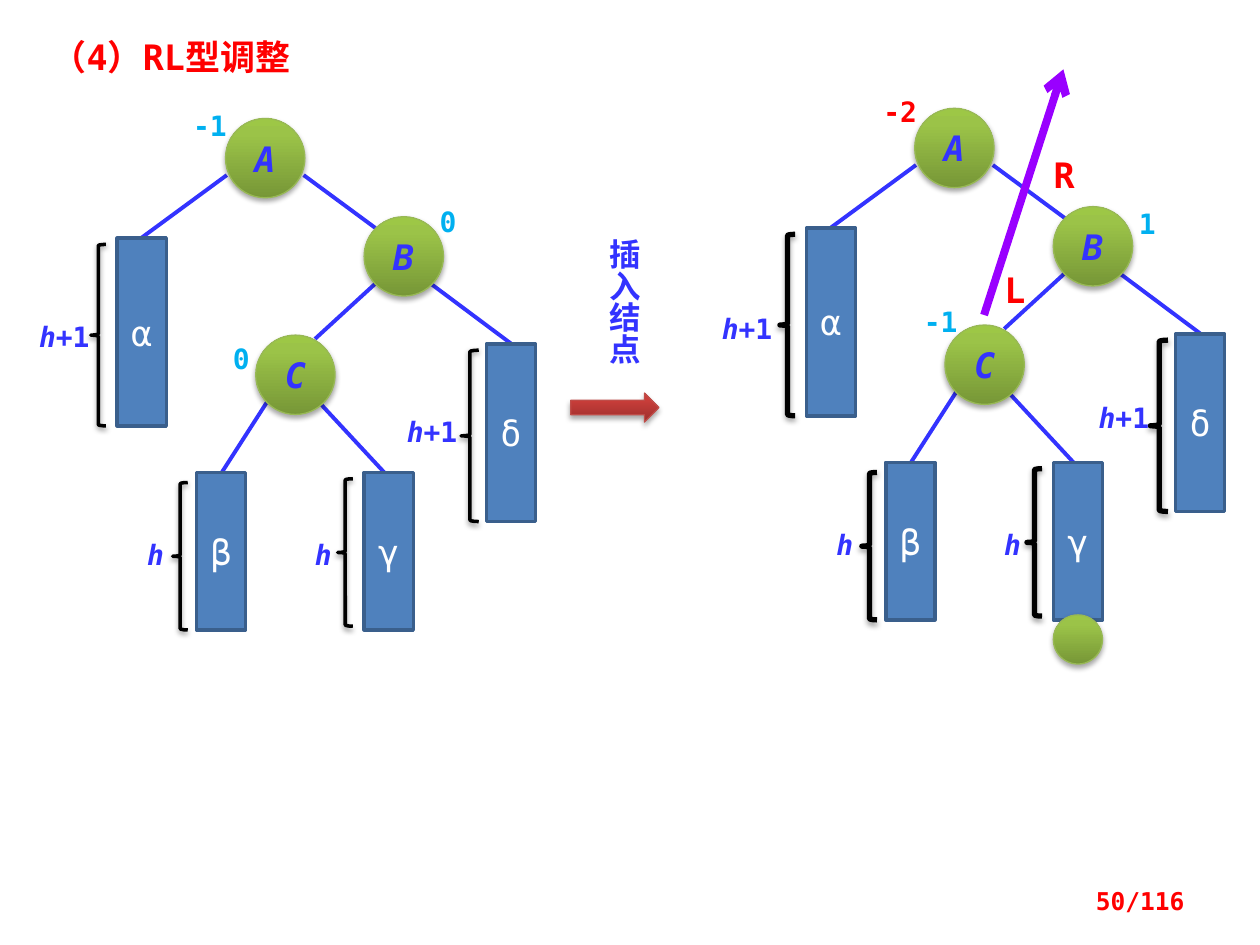
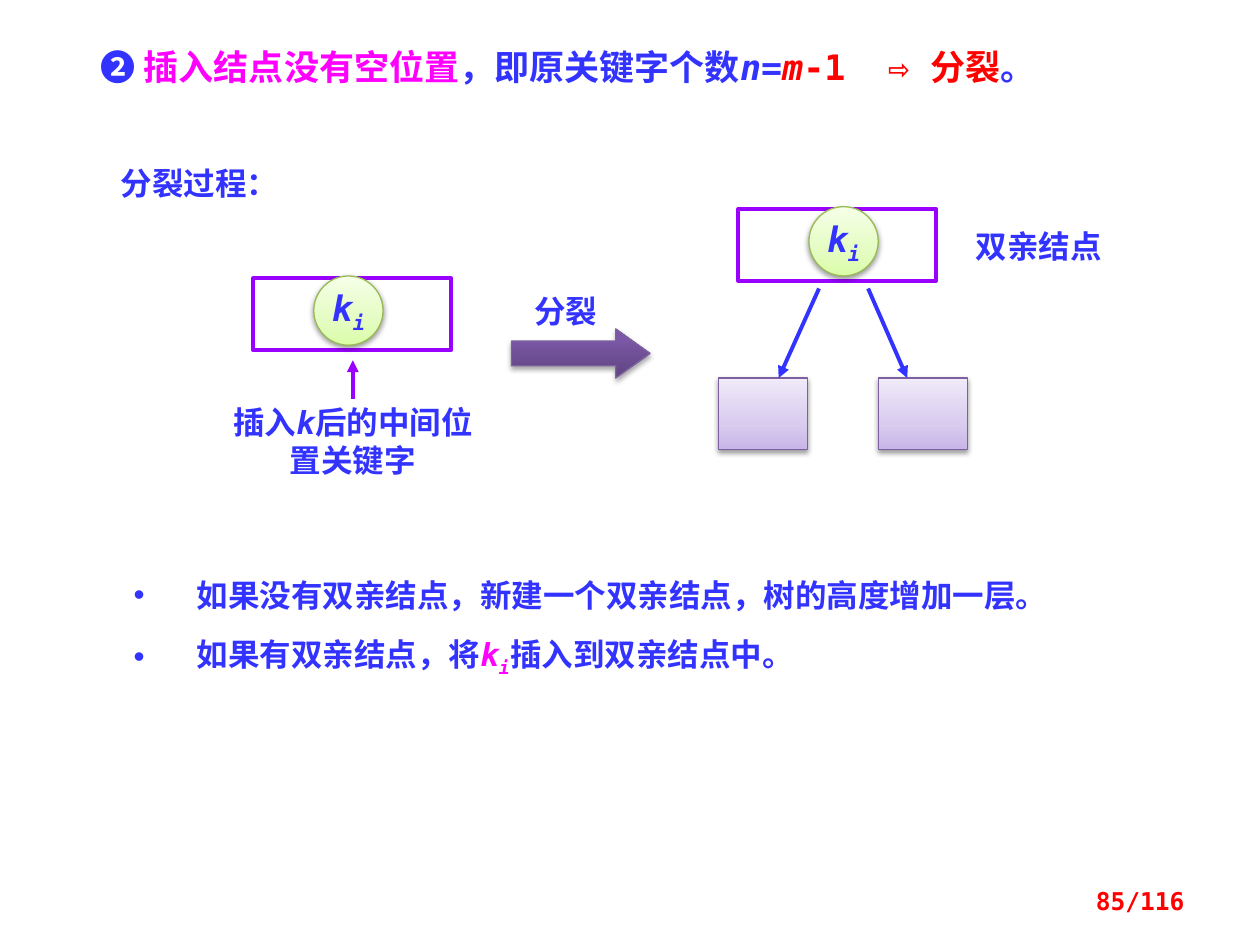
"""Build two slides on tree balancing and node splitting, on a grid of 100 columns by 75 rows."""
import dataclasses

import pptx
import pptx.dml.color
import pptx.enum.dml
import pptx.enum.shapes
import pptx.enum.text
import pptx.oxml
import pptx.oxml.ns
import pptx.util


@dataclasses.dataclass(frozen=True)
class Theme:
    font: str = "DejaVu Sans Mono"
    asian: str = "Noto Sans CJK SC"
    blue: str = "3333FF"
    red: str = "FF0000"
    pink: str = "FF00FF"
    sky: str = "00B0F0"
    violet: str = "9900FF"
    white: str = "FFFFFF"
    black: str = "000000"
    steel: str = "4F81BD"
    navy: str = "3A5F8C"
    leaf: str = "98B955"
    plum: str = "7D60A0"
    brick: str = "BF4C48"
    green: tuple = ((0, "779737"), (80, "9BC348"), (100, "9DC746"))
    lime: tuple = ((0, "DAFDA7"), (35, "E4FCC2"), (100, "F5FFE7"))
    lilac: tuple = ((0, "C9B5E8"), (35, "D8CBEE"), (100, "F0EAF9"))
    purple: tuple = ((0, "5F4480"), (80, "7B58A6"), (100, "7C57A8"))
    ruby: tuple = ((0, "9C2F2D"), (80, "CB3E3A"), (100, "CE3B37"))
    deep: tuple = (35, 3.1, 1.8)
    soft: tuple = (38, 3.1, 1.6)
    head: int = 20
    text: int = 18
    note: int = 16
    foot: int = 14


theme = Theme()
kinds = pptx.enum.shapes.MSO_SHAPE
align = pptx.enum.text.PP_ALIGN
anchor = pptx.enum.text.MSO_ANCHOR
rgb = pptx.dml.color.RGBColor.from_string
qn = pptx.oxml.ns.qn
names = pptx.oxml.ns.nsdecls("a")

deck = pptx.Presentation()
deck.slide_width = pptx.util.Inches(10)
deck.slide_height = pptx.util.Inches(7.5)
cell = deck.slide_width // 100


def write(shape, text, size=theme.text, ink=theme.blue, bold=True, slant=False, font=theme.font,
          side=align.CENTER, hold=None, inset=None, wrap=True, lead=None):
    """Fill a shape with a string, or with paragraphs made of (words, changes) pieces."""
    frame = shape.text_frame
    frame.word_wrap = wrap
    frame.auto_size = pptx.enum.text.MSO_AUTO_SIZE.NONE
    if hold is not None:
        frame.vertical_anchor = hold
    if inset:
        frame.margin_left, frame.margin_top, frame.margin_right, frame.margin_bottom = [
            round(n * cell) for n in inset]
    rows = [[(text, {})]] if isinstance(text, str) else text
    for at, row in enumerate(rows):
        para = frame.add_paragraph() if at else frame.paragraphs[0]
        para.alignment = side
        para.space_before = pptx.util.Pt(0)
        if lead:
            para.line_spacing = lead
        for words, change in row:
            look = {"ink": ink, "slant": slant, "base": 0, **change}
            run = para.add_run()
            run.text = words
            run.font.size = pptx.util.Pt(size)
            run.font.bold = bold
            run.font.italic = look["slant"]
            run.font.color.rgb = rgb(look["ink"])
            run.font.name = font
            mark = run.font._element
            mark.append(pptx.oxml.parse_xml(f'<a:ea {names} typeface="{theme.asian}"/>'))
            if look["base"]:
                mark.set("baseline", str(look["base"] * 1000))


def draw(page, kind, box, fill=None, line=None, width=0.75, shade=None, tip=None):
    """Add a text box, a connector or a preset shape at a place on the grid."""
    spot = [round(n * cell) for n in box]
    if kind == "text":
        return page.shapes.add_textbox(*spot)
    if kind == "line":
        shape = page.shapes.add_connector(pptx.enum.shapes.MSO_CONNECTOR.STRAIGHT, *spot)
    else:
        shape = page.shapes.add_shape(kind, *spot)
        if fill is None:
            shape.fill.background()
        elif isinstance(fill, str):
            shape.fill.solid()
            shape.fill.fore_color.rgb = rgb(fill)
        else:
            shape.fill.gradient()
            shape.fill.gradient_angle = 90
            stops = shape.element.spPr.find(qn("a:gradFill")).find(qn("a:gsLst"))
            for old in list(stops):
                stops.remove(old)
            for share, tint in fill:
                stops.append(pptx.oxml.parse_xml(
                    f'<a:gs {names} pos="{share * 1000}"><a:srgbClr val="{tint}"/></a:gs>'))
    shape.line.color.rgb = rgb(line)
    shape.line.width = pptx.util.Pt(width)
    props = shape.element.spPr
    if tip:
        props.find(qn("a:ln")).append(pptx.oxml.parse_xml(f'<a:tailEnd {names} type="{tip}"/>'))
    if kind == "line":
        props.append(pptx.oxml.parse_xml(f'<a:effectLst {names}/>'))
    else:
        shape.shadow.inherit = False
    if shade:
        dense, blur, far = shade
        props.find(qn("a:effectLst")).append(pptx.oxml.parse_xml(
            f'<a:outerShdw {names} blurRad="{pptx.util.Pt(blur)}" dist="{pptx.util.Pt(far)}" '
            f'dir="5400000" rotWithShape="0"><a:srgbClr val="{theme.black}">'
            f'<a:alpha val="{dense * 1000}"/></a:srgbClr></a:outerShdw>'))
    return shape


turn = deck.slides.add_slide(deck.slide_layouts[5])
split = deck.slides.add_slide(deck.slide_layouts[1])

heads = [
    (turn, (3.1, 2.3, 33.7, 4.4), [[("（4）RL型调整", {"ink": theme.red})]], "50/116"),
    (split, (7, 3.1, 87.5, 4.4), [[
        ("❷ ", {}), ("插入结点没有空位置", {"ink": theme.pink}), ("，即原关键字个数", {}),
        ("n=", {"slant": True}), ("m", {"ink": theme.red, "slant": True}),
        ("-1  ⇨ 分裂", {"ink": theme.red}), ("。", {})]], "85/116"),
]
for page, box, words, count in heads:
    title = page.shapes.title
    title.left, title.top, title.width, title.height = [round(n * cell) for n in box]
    write(title, words, size=theme.head, side=align.LEFT, hold=anchor.TOP, inset=(1, 0.5, 1, 0.5))
    foot = draw(page, "text", (71.7, 69.5, 23.3, 4))
    write(foot, count, size=theme.foot, ink=theme.red, side=align.RIGHT, hold=anchor.MIDDLE)

draw(turn, kinds.RIGHT_ARROW, (45.3, 31.2, 7, 2.3), theme.ruby, theme.brick, shade=theme.deep)
label = draw(turn, "text", (46.5, 18, 5, 12.5))
write(label, "插入结点", font=theme.asian)
label.text_frame._txBody.bodyPr.set("vert", "eaVert")

edges = [(18, 13.9, 11.2, 18.9), (24.1, 13.9, 29.8, 18.1), (29.8, 22.5, 25, 26.9),
         (34.3, 22.6, 40.6, 27.3), (21.2, 31.9, 17.6, 37.5), (25.3, 31.9, 30.5, 37.5)]
bars = [("α", 9.3, 18.9, 14.9), ("β", 15.6, 37.5, 12.5),
        ("γ", 28.9, 37.5, 12.5), ("δ", 38.6, 27.3, 14.1)]
braces = [(7.2, 19.4, 1.2, 14.4), (13.7, 38.3, 1.2, 11.7),
          (26.8, 38, 1.2, 11.7), (36.6, 27.8, 1.4, 13.6)]
nodes = [("A", 17.9, 9.4), ("B", 28.9, 17.2), ("C", 20.3, 26.6)]
trees = [
    (0, 0, 2, theme.soft, [(2.4, 25.4), (31.6, 32.9)],
     [("-1", 14.7, 8.6, theme.sky), ("0", 33.6, 16.2, theme.sky), ("0", 17.2, 27.1, theme.sky)]),
    (54.7, -0.8, 3, theme.deep, [(56.6, 24.7), (86.5, 31.8)],
     [("-2", 69.5, 7.5, theme.red), ("1", 89.1, 16.4, theme.sky), ("-1", 72.7, 24.2, theme.sky)]),
]
bare = (0, 0, 0, 0)
for right, down, thick, shade, tall, marks in trees:
    for x, y, far, low in edges:
        draw(turn, "line", (x + right, y + down, far + right, low + down), line=theme.blue, width=2.25)
    for name, x, y, high in bars:
        bar = draw(turn, kinds.RECTANGLE, (x + right, y + down, 3.9, high), theme.steel, theme.navy, 2)
        write(bar, name, size=theme.head, ink=theme.white, bold=False)
    for x, y, wide, high in braces:
        draw(turn, kinds.LEFT_BRACE, (x + right, y + down, wide, high),
             line=theme.black, width=thick, shade=shade)
    for name, x, y in nodes:
        node = draw(turn, kinds.OVAL, (x + right, y + down, 6.3, 6.3), theme.green, theme.leaf, shade=theme.deep)
        write(node, name, size=theme.head, slant=True)
    for x, y in tall:
        write(draw(turn, "text", (x, y, 5.4, 2.7)), [[("h", {"slant": True}), ("+1", {})]],
              size=theme.note, inset=bare)
    for x in (10.4, 23.7):
        write(draw(turn, "text", (x + right, 42.7 + down, 3.9, 2.7)), "h",
              size=theme.note, slant=True, inset=bare)
    for sign, x, y, ink in marks:
        write(draw(turn, "text", (x, y, 3.9, 2.7)), sign, size=theme.note, ink=ink, inset=bare)

draw(turn, kinds.OVAL, (83.6, 48.8, 3.9, 3.9), theme.green, theme.leaf, shade=theme.deep)
for name, x, y in [("R", 82.5, 12.2), ("L", 78.6, 21.3)]:
    write(draw(turn, "text", (x, y, 3.9, 3.4)), name, size=theme.head, ink=theme.red, inset=bare)
draw(turn, "line", (78.1, 25, 84.4, 5.5), line=theme.violet, width=4.5, tip="arrow")

for x, y, key in [(20.1, 22.1, 24.9), (58.6, 16.6, 64.2)]:
    draw(split, kinds.RECTANGLE, (x, y, 15.7, 5.7), theme.white, theme.violet, 2.25)
    ball = draw(split, kinds.OVAL, (key, y - 0.2, 5.5, 5.5), theme.lime, theme.leaf, shade=theme.soft)
    write(ball, [[("k", {}), ("i", {"base": -25})]], size=theme.head, slant=True, wrap=False)
for x in (57, 69.7):
    draw(split, kinds.RECTANGLE, (x, 30, 7.1, 5.7), theme.lilac, theme.plum, shade=theme.soft)
for ends, ink in [((28, 31.7, 28, 28.6), theme.violet),
                  ((65, 22.9, 61.8, 30), theme.blue), ((68.9, 22.9, 72, 30), theme.blue)]:
    draw(split, "line", ends, line=ink, width=2.25, tip="triangle")
arrow = draw(split, kinds.RIGHT_ARROW, (40.6, 26.1, 11, 3.9), theme.purple, theme.plum, shade=theme.deep)
arrow.adjustments[1] = 0.7

notes = [
    ((16.6, 31.5, 22.8, 7.1), [[("插入", {}), ("k", {"slant": True}), ("后的中间位置关键字", {})]],
     theme.font, align.CENTER),
    ((40.6, 22.7, 8.6, 4), "分裂", theme.font, align.CENTER),
    ((8.6, 12.5, 21.9, 4), "分裂过程：", theme.asian, align.LEFT),
    ((75.8, 17.5, 13.3, 4), "双亲结点", theme.asian, align.CENTER),
]
for box, words, font, side in notes:
    write(draw(split, "text", box), words, font=font, side=side)

body = split.placeholders[1]
body.left, body.top, body.width, body.height = [round(n * cell) for n in (8.6, 43, 77.3, 11.5)]
body.fill.solid()
body.fill.fore_color.rgb = rgb(theme.white)
write(body, [
    [("如果没有双亲结点，新建一个双亲结点，树的高度增加一层。", {})],
    [("如果有双亲结点，将", {}), ("k", {"ink": theme.pink, "slant": True}),
     ("i", {"ink": theme.pink, "slant": True, "base": -25}), ("插入到双亲结点中。", {})],
], side=align.LEFT, inset=(2, 1.2, 1, 1.2), lead=1.5)
for para in body.text_frame.paragraphs:
    props = para._p.get_or_add_pPr()
    props.set("marL", str(5 * cell))
    props.set("indent", str(-5 * cell))
    props.append(pptx.oxml.parse_xml(f'<a:buChar {names} char="•"/>'))

deck.save("out.pptx")
